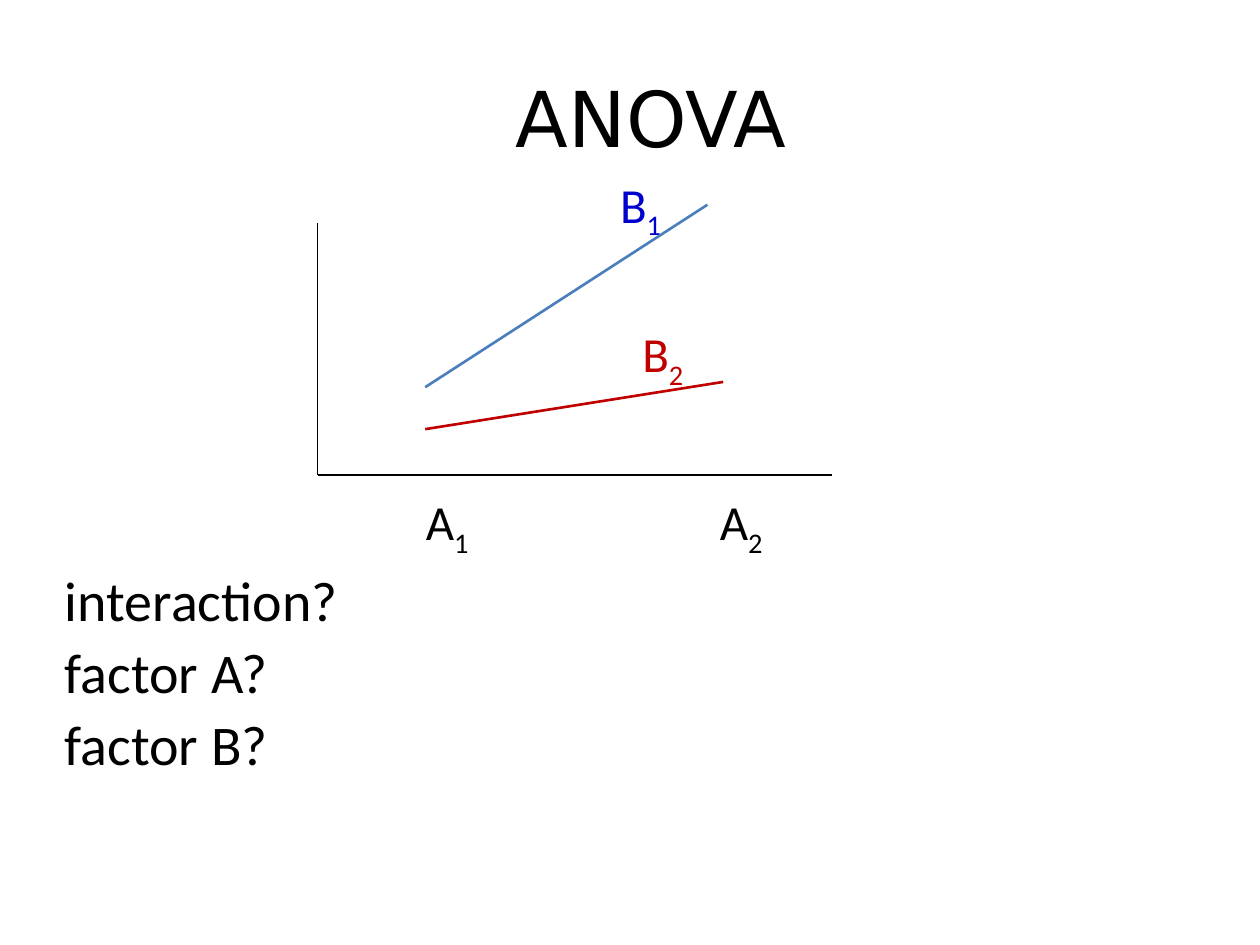
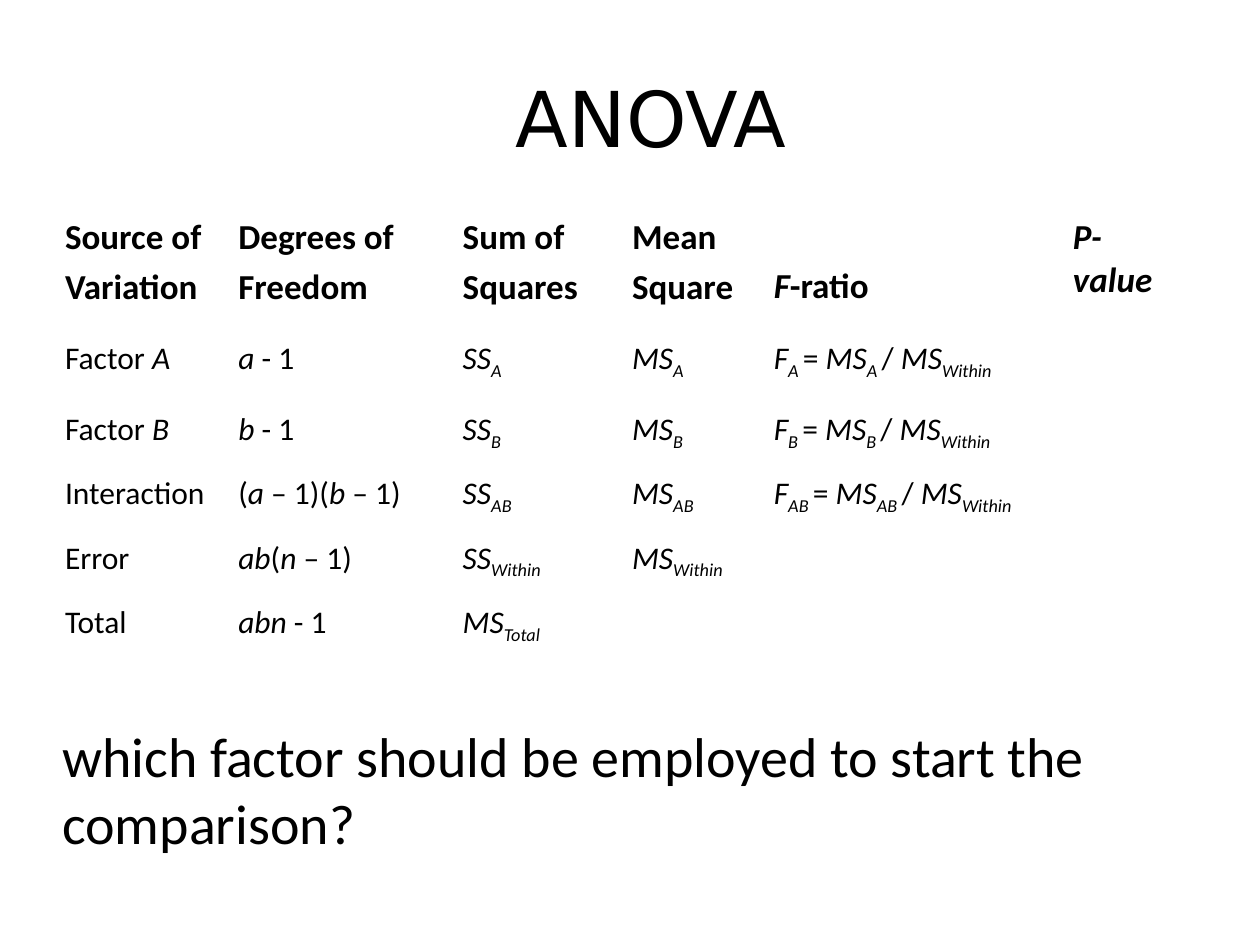
"""Build two ANOVA slides: an interaction plot and the two-way variance table."""
from typing import NamedTuple

from lxml.etree import SubElement
from pptx import Presentation
from pptx.dml.color import RGBColor
from pptx.enum.shapes import MSO_CONNECTOR, MSO_SHAPE
from pptx.enum.text import MSO_ANCHOR, MSO_AUTO_SIZE, PP_ALIGN
from pptx.oxml.ns import qn
from pptx.presentation import Presentation as Deck
from pptx.slide import Slide
from pptx.table import _Cell as Cell
from pptx.text.text import TextFrame
from pptx.util import Emu, Pt

BLACK = RGBColor(0x00, 0x00, 0x00)
WHITE = RGBColor(0xFF, 0xFF, 0xFF)
BLUE_LINE = RGBColor(0x4B, 0x7E, 0xBC)
BLUE_TEXT = RGBColor(0x00, 0x00, 0xCC)
RED = RGBColor(0xC0, 0x00, 0x00)

BODY_FONT = "Calibri"
TITLE_FONT = "DejaVu Sans"
EMU_PER_PX = 9525
TITLE_ONLY_LAYOUT = 5


class Box(NamedTuple):
    left: int
    top: int
    width: int
    height: int


class Span(NamedTuple):
    text: str
    italic: bool = False
    subscript: bool = False


class Style(NamedTuple):
    size: int
    color: RGBColor = BLACK
    bold: bool = False
    space_before: float = 0
    line_spacing: float = 1.0


class Label(NamedTuple):
    letter: str
    index: str
    box: Box
    color: RGBColor


class Segment(NamedTuple):
    start: tuple[int, int]
    end: tuple[int, int]
    color: RGBColor
    weight: float


Line = list[Span]

TITLE_BOX = Box(48, 29, 896, 120)
QUESTIONS_BOX = Box(40, 432, 904, 216)
CLOSING_BOX = Box(38, 545, 898, 113)

QUESTIONS = ["interaction?", "factor A?", "factor B?"]
CLOSING = "which factor should be employed to start the comparison?"

LABELS = [
    Label("B", "2", Box(480, 242, 53, 55), RED),
    Label("B", "1", Box(463, 128, 53, 55), BLUE_TEXT),
    Label("A", "1", Box(315, 370, 54, 55), BLACK),
    Label("A", "2", Box(539, 370, 54, 55), BLACK),
]
SEGMENTS = [
    Segment((242, 170), (242, 362), BLACK, 0.75),
    Segment((634, 362), (242, 362), BLACK, 0.75),
    Segment((324, 295), (539, 156), BLUE_LINE, 1.5),
    Segment((324, 327), (551, 291), RED, 1.5),
]

TABLE_LEFT, TABLE_TOP = 40, 160
COLUMN_WIDTHS = [132, 171, 129, 108, 228, 96]
ROW_HEIGHTS = [94, 54, 49, 49, 49, 49]
HEADER_BOTTOM_MARGIN = 19
HEADER_STYLE = Style(20, bold=True, space_before=4)
CELL_STYLE = Style(18, space_before=3.6)


def px(length: int) -> Emu:
    """Turn px into EMU."""
    return Emu(length * EMU_PER_PX)


def plain(text: str) -> Line:
    """Return a line of one upright span."""
    return [Span(text)]


def italic(text: str) -> Span:
    """Return an italic span."""
    return Span(text, italic=True)


def symbol(name: str, index: str) -> Line:
    """Return an italic quantity with its italic subscript."""
    return [italic(name), Span(index, italic=True, subscript=True)]


def ratio(source: str) -> Line:
    """Return the F-ratio formula of a source of variation."""
    index = source + " "
    return [*symbol("F", index), Span("= "), *symbol("MS", index),
            Span("/ "), *symbol("MS", "Within")]


def effect_row(name: Line, freedom: Line, source: str) -> list[Line]:
    """Return the cells of a tested effect."""
    return [name, freedom, symbol("SS", source), symbol("MS", source), ratio(source)]


HEADERS = [
    [plain("Source of"), plain("Variation")],
    [plain("Degrees of"), plain("Freedom")],
    [plain("Sum of"), plain("Squares")],
    [plain("Mean"), plain("Square")],
    [[italic("F"), Span("-ratio")]],
    [[italic("P-value")]],
]
FACTOR_ROWS = [
    effect_row([Span("Factor "), italic(factor)],
               [italic(factor.lower()), Span(" - 1")], factor)
    for factor in "AB"
]
INTERACTION_FREEDOM = [Span("("), italic("a"), Span(" – 1)("), italic("b"), Span(" – 1)")]
BODY_ROWS = [
    *FACTOR_ROWS,
    effect_row(plain("Interaction"), INTERACTION_FREEDOM, "AB"),
    [plain("Error"), [italic("ab"), Span("("), italic("n "), Span("– 1)")],
     symbol("SS", "Within"), symbol("MS", "Within")],
    [plain("Total"), [italic("abn"), Span(" - 1")], symbol("MS", "Total")],
]


def write(frame: TextFrame, lines: list[Line], style: Style) -> None:
    """Fill a text frame with styled lines of spans."""
    for number, line in enumerate(lines):
        paragraph = frame.add_paragraph() if number else frame.paragraphs[0]
        paragraph.alignment = PP_ALIGN.LEFT
        paragraph.space_before = Pt(style.space_before)
        paragraph.line_spacing = style.line_spacing
        for span in line:
            run = paragraph.add_run()
            run.text = span.text
            run.font.name = BODY_FONT
            run.font.size = Pt(style.size)
            run.font.bold = style.bold
            run.font.italic = span.italic
            run.font.color.rgb = style.color
            if span.subscript:
                run._r.get_or_add_rPr().set("baseline", "-25000")


def add_text(page: Slide, box: Box, lines: list[Line], style: Style) -> None:
    """Add a wrapped text box."""
    frame = page.shapes.add_textbox(*map(px, box)).text_frame
    frame.word_wrap = True
    write(frame, lines, style)


def add_label(page: Slide, label: Label) -> None:
    """Add a white rectangle that names a factor level."""
    shape = page.shapes.add_shape(MSO_SHAPE.RECTANGLE, *map(px, label.box))
    shape.shadow.inherit = False
    shape.fill.solid()
    shape.fill.fore_color.rgb = WHITE
    shape.line.fill.background()
    frame = shape.text_frame
    frame.word_wrap = False
    frame.auto_size = MSO_AUTO_SIZE.SHAPE_TO_FIT_TEXT
    frame.vertical_anchor = MSO_ANCHOR.TOP
    line = [Span(label.letter), Span(label.index, subscript=True)]
    write(frame, [line], Style(28, label.color))


def add_segment(page: Slide, segment: Segment) -> None:
    """Add a straight line without shadow."""
    connector = page.shapes.add_connector(
        MSO_CONNECTOR.STRAIGHT, *map(px, segment.start + segment.end))
    connector.line.color.rgb = segment.color
    connector.line.width = Pt(segment.weight)
    SubElement(connector._element.spPr, qn("a:effectLst"))


def add_page(deck: Deck) -> Slide:
    """Add a slide with the shared title."""
    page = deck.slides.add_slide(deck.slide_layouts[TITLE_ONLY_LAYOUT])
    title = page.shapes.title
    title.left, title.top, title.width, title.height = map(px, TITLE_BOX)
    title.text_frame.text = "ANOVA"
    title.text_frame.vertical_anchor = MSO_ANCHOR.MIDDLE
    paragraph = title.text_frame.paragraphs[0]
    paragraph.alignment = PP_ALIGN.CENTER
    font = paragraph.runs[0].font
    font.name = TITLE_FONT
    font.size = Pt(44)
    font.color.rgb = BLACK
    return page


def build_plot_page(deck: Deck) -> None:
    """Add the interaction plot with its questions."""
    page = add_page(deck)
    question_style = Style(32, space_before=6.4, line_spacing=0.9)
    add_text(page, QUESTIONS_BOX, [plain(text) for text in QUESTIONS], question_style)
    for label in LABELS:
        add_label(page, label)
    for segment in SEGMENTS:
        add_segment(page, segment)


def fill_header(cell: Cell, lines: list[Line]) -> None:
    """Write a header cell, setting the F-ratio on the second line."""
    write(cell.text_frame, lines, HEADER_STYLE)
    if lines[0][0].text == "F":
        cell.vertical_anchor = MSO_ANCHOR.BOTTOM
        cell.margin_bottom = px(HEADER_BOTTOM_MARGIN)


def build_table_page(deck: Deck) -> None:
    """Add the variance table with its closing question."""
    page = add_page(deck)
    frame = page.shapes.add_table(
        len(ROW_HEIGHTS), len(COLUMN_WIDTHS), px(TABLE_LEFT), px(TABLE_TOP),
        px(sum(COLUMN_WIDTHS)), px(sum(ROW_HEIGHTS)))
    table = frame.table
    table.first_row = table.horz_banding = False
    for column, width in zip(table.columns, COLUMN_WIDTHS):
        column.width = px(width)
    for row, height in zip(table.rows, ROW_HEIGHTS):
        row.height = px(height)
    for cell in table.iter_cells():
        cell.fill.background()
    for column_number, lines in enumerate(HEADERS):
        fill_header(table.cell(0, column_number), lines)
    for row_number, row_lines in enumerate(BODY_ROWS, start=1):
        for column_number, line in enumerate(row_lines):
            write(table.cell(row_number, column_number).text_frame, [line], CELL_STYLE)
    add_text(page, CLOSING_BOX, [plain(CLOSING)], Style(32))


def main() -> None:
    """Build and save the deck."""
    deck = Presentation()
    deck.slide_width, deck.slide_height = px(960), px(720)
    build_plot_page(deck)
    build_table_page(deck)
    deck.save("out.pptx")


if __name__ == "__main__":
    main()
